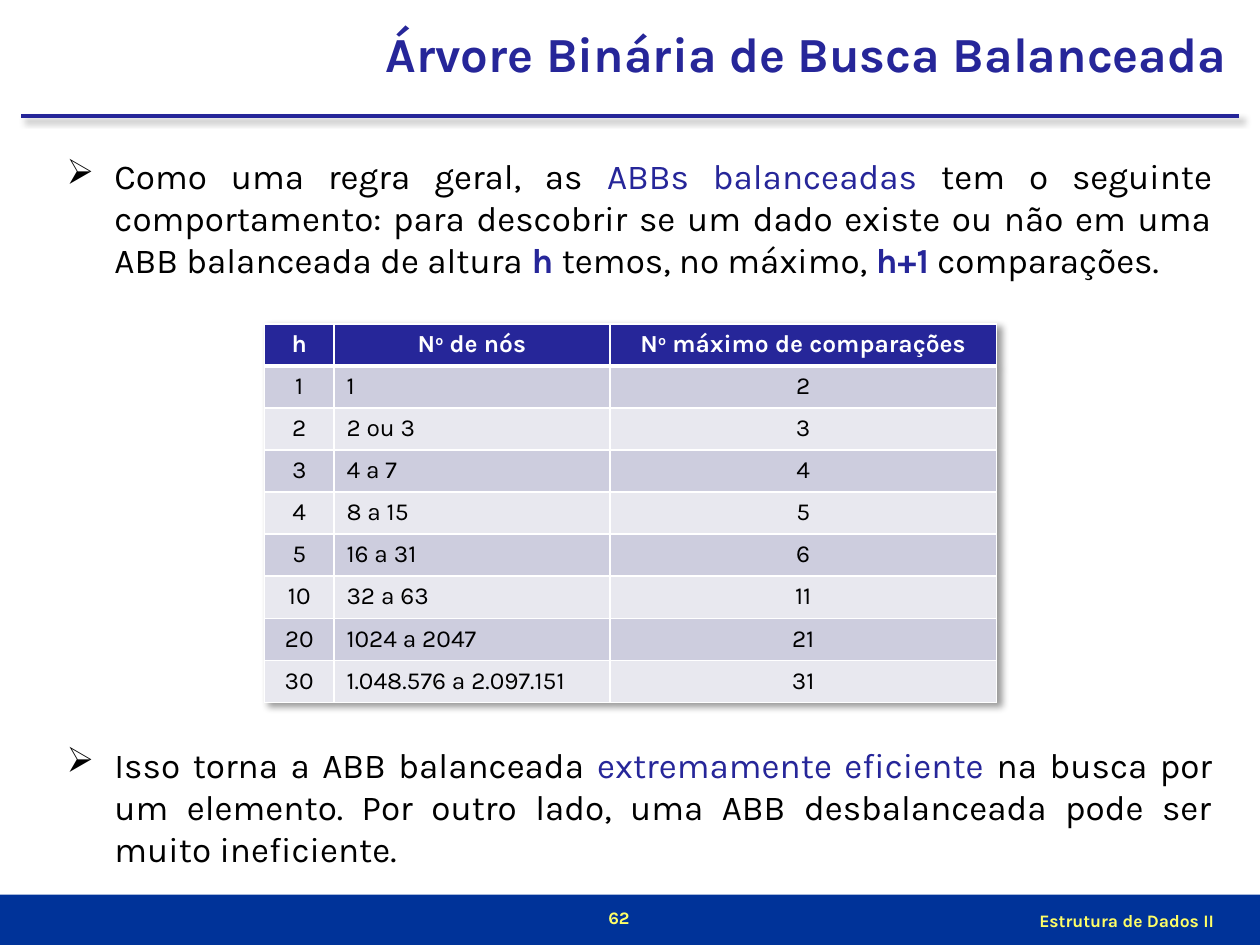
from lxml.etree import SubElement
from pptx import Presentation
from pptx.dml.color import RGBColor
from pptx.enum.shapes import MSO_CONNECTOR as CONNECTOR, MSO_SHAPE as SHAPE
from pptx.enum.text import MSO_ANCHOR as ANCHOR, PP_ALIGN as ALIGN
from pptx.oxml import parse_xml
from pptx.oxml.ns import nsdecls, qn
from pptx.util import Inches, Pt

FONT = "Karla"
BLACK = RGBColor(0x00, 0x00, 0x00)
WHITE = RGBColor(0xFF, 0xFF, 0xFF)
NAVY = RGBColor(0x26, 0x26, 0x99)
FOOTER_BLUE = RGBColor(0x00, 0x33, 0x99)
FOOTER_YELLOW = RGBColor(0xFF, 0xFF, 0x66)
DARK_BAND = RGBColor(0xCD, 0xCD, 0xDE)
LIGHT_BAND = RGBColor(0xE8, 0xE8, 0xEF)

TITLE = "Árvore Binária de Busca Balanceada"
COURSE = "Estrutura de Dados II"
PAGE = "62"

ACCENT = {"color": NAVY}
STRONG = {"color": NAVY, "bold": True}
RAISED = {"baseline": "30000"}

# Each bullet: top in inches, then its runs
BULLETS = [
    (1.18, [
        ("Como uma regra geral, as ", {}),
        ("ABBs balanceadas ", ACCENT),
        ("tem o seguinte comportamento: para descobrir se um dado existe "
         "ou não em uma ABB balanceada de altura ", {}),
        ("h", STRONG),
        (" temos, no máximo, ", {}),
        ("h+1", STRONG),
        (" comparações.", {}),
    ]),
    (5.85, [
        ("Isso torna a ABB balanceada ", {}),
        ("extremamente eficiente ", ACCENT),
        ("na busca por um elemento. Por outro lado, uma ABB desbalanceada "
         "pode ser muito ineficiente.", {}),
    ]),
]

HEADER = [
    "h",
    [("N", {}), ("o", RAISED), (" de nós", {})],
    [("N", {}), ("o", RAISED), (" máximo de comparações", {})],
]
ROWS = [
    ("1", "1", "2"),
    ("2", "2 ou 3", "3"),
    ("3", "4 a 7", "4"),
    ("4", "8 a 15", "5"),
    ("5", "16 a 31", "6"),
    ("10", "32 a 63", "11"),
    ("20", "1024 a 2047", "21"),
    ("30", "1.048.576 a 2.097.151", "31"),
]
COLUMN_WIDTHS = [0.55, 2.19, 3.07]
COLUMN_ALIGNS = [ALIGN.CENTER, ALIGN.LEFT, ALIGN.CENTER]
ROW_HEIGHT = 0.33


def write(frame, text, size, color=BLACK, bold=False, align=ALIGN.LEFT,
          bullet=None, indent=0.38):
    """Fill a frame's first paragraph from a string or (text, format) runs."""
    paragraph = frame.paragraphs[0]
    paragraph.alignment = align
    if bullet:
        properties = paragraph._p.get_or_add_pPr()
        properties.set("marL", str(Inches(indent)))
        properties.set("indent", str(-Inches(indent)))
        bullet_color = SubElement(properties, qn("a:buClr"))
        SubElement(bullet_color, qn("a:srgbClr"), val=str(color))
        SubElement(properties, qn("a:buChar"), char=bullet)
    runs = [(text, {})] if isinstance(text, str) else text
    for words, style in runs:
        run = paragraph.add_run()
        run.text = words
        run.font.name = FONT
        run.font.size = Pt(size)
        run.font.bold = style.get("bold", bold)
        run.font.color.rgb = style.get("color", color)
        if "baseline" in style:
            run.font._element.set("baseline", style["baseline"])


def add_text(slide, box, text, size, wrap=True, anchor=ANCHOR.TOP, **style):
    frame = slide.shapes.add_textbox(*map(Inches, box)).text_frame
    frame.word_wrap = wrap
    frame.vertical_anchor = anchor
    write(frame, text, size, **style)


def shadow():
    return parse_xml(
        f'<a:effectLst {nsdecls("a")}>'
        f'<a:outerShdw blurRad="{Pt(4)}" dist="{Pt(3)}" dir="2700000" '
        'algn="tl" rotWithShape="0"><a:srgbClr val="000000">'
        '<a:alpha val="40000"/></a:srgbClr></a:outerShdw></a:effectLst>')


def set_borders(cell, **widths):
    properties = cell._tc.get_or_add_tcPr()
    for side in ("L", "R", "T", "B"):
        line = SubElement(properties, qn(f"a:ln{side}"),
                          w=str(Pt(widths.get(side, 1))))
        fill = SubElement(line, qn("a:solidFill"))
        SubElement(fill, qn("a:srgbClr"), val=str(WHITE))


def add_comparison_table(slide):
    rows = [HEADER, *ROWS]
    table = slide.shapes.add_table(
        len(rows), len(COLUMN_WIDTHS), Inches(2.1), Inches(2.57),
        Inches(sum(COLUMN_WIDTHS)), Inches(ROW_HEIGHT * len(rows))).table
    table._tbl.tblPr.insert(0, shadow())
    for column, width in zip(table.columns, COLUMN_WIDTHS):
        column.width = Inches(width)
    for r, values in enumerate(rows):
        table.rows[r].height = Inches(ROW_HEIGHT)
        is_header = r == 0
        band = NAVY if is_header else DARK_BAND if r % 2 else LIGHT_BAND
        for c, value in enumerate(values):
            cell = table.cell(r, c)
            write(cell.text_frame, value, 14, bold=is_header,
                  color=WHITE if is_header else BLACK,
                  align=ALIGN.CENTER if is_header else COLUMN_ALIGNS[c])
            set_borders(cell, T=3 if r == 1 else 1, B=3 if is_header else 1)
            cell.fill.solid()
            cell.fill.fore_color.rgb = band


def main():
    deck = Presentation()
    deck.slide_width, deck.slide_height = Inches(10), Inches(7.5)
    slide = deck.slides.add_slide(deck.slide_layouts[6])

    footer = slide.shapes.add_shape(
        SHAPE.RECTANGLE, Inches(0), Inches(7.1), Inches(10), Inches(0.42))
    footer.shadow.inherit = False
    footer.fill.solid()
    footer.fill.fore_color.rgb = FOOTER_BLUE
    footer.line.fill.background()
    footer_style = {"color": FOOTER_YELLOW, "bold": True, "wrap": False}
    add_text(slide, (8.15, 7.17, 1.73, 0.27), COURSE, 10, **footer_style)
    add_text(slide, (4.73, 7.15, 0.43, 0.27), PAGE, 10, **footer_style)

    rule = slide.shapes.add_connector(
        CONNECTOR.STRAIGHT, Inches(0.17), Inches(0.92),
        Inches(9.83), Inches(0.92))
    rule.line.color.rgb = NAVY
    rule.line.width = Pt(2.25)
    rule._element.spPr.append(shadow())

    add_text(slide, (1.3, 0, 8.53, 0.84), TITLE, 28, color=NAVY, bold=True,
             align=ALIGN.RIGHT, anchor=ANCHOR.MIDDLE)
    for top, runs in BULLETS:
        add_text(slide, (0.43, top, 9.29, 1.1), runs, 20,
                 align=ALIGN.JUSTIFY, bullet="➢")
    add_comparison_table(slide)
    deck.save("out.pptx")


if __name__ == "__main__":
    main()
